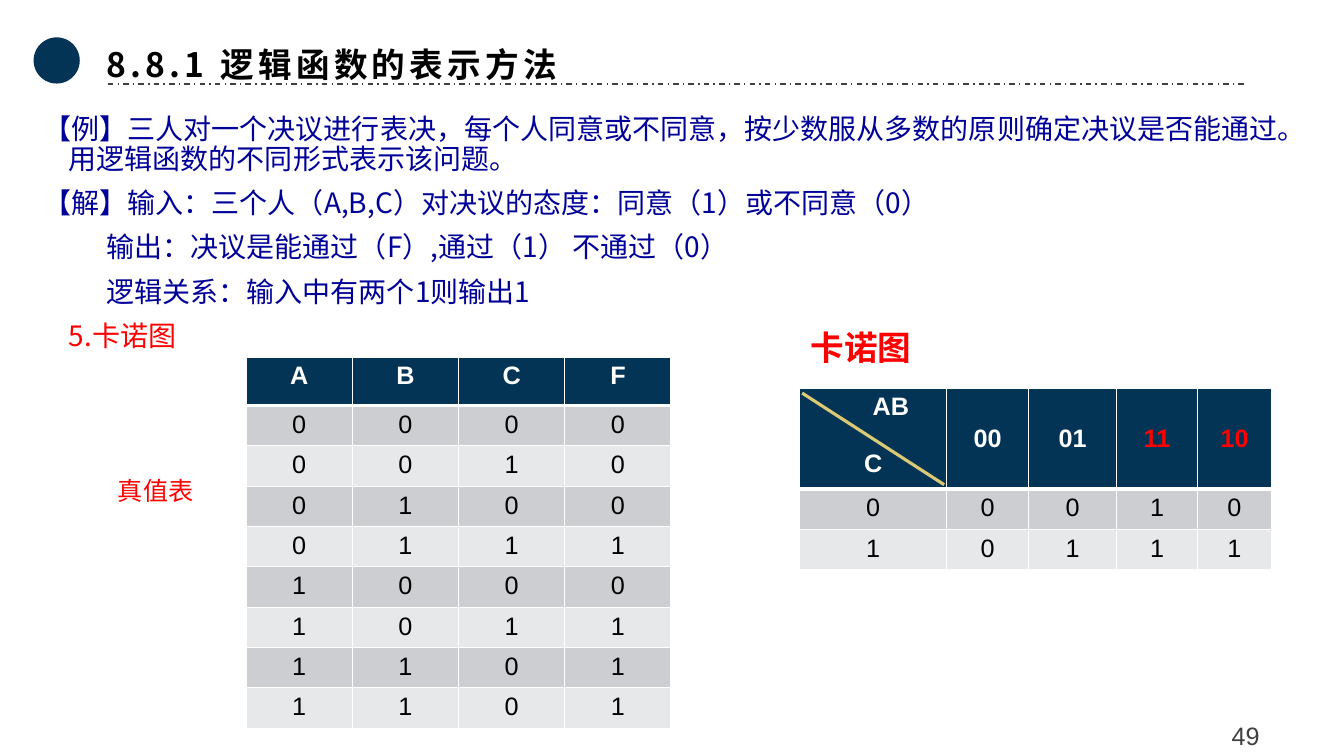
from dataclasses import dataclass

import lxml.etree
import pptx
import pptx.dml.color
import pptx.enum.dml
import pptx.enum.shapes
import pptx.enum.text
import pptx.oxml.ns
import pptx.util

RGBColor = pptx.dml.color.RGBColor
ALIGN = pptx.enum.text.PP_ALIGN
ANCHOR = pptx.enum.text.MSO_ANCHOR

NAVY = RGBColor(0x03, 0x34, 0x55)
GREY = RGBColor(0x40, 0x40, 0x40)
BLUE = RGBColor(0x00, 0x00, 0x99)
RED = RGBColor(0xFF, 0x00, 0x00)
GOLD = RGBColor(0xDC, 0xC9, 0x75)
BLACK = RGBColor(0x00, 0x00, 0x00)
WHITE = RGBColor(0xFF, 0xFF, 0xFF)
BANDS = (RGBColor(0xCC, 0xCE, 0xD1), RGBColor(0xE7, 0xE8, 0xE9))

LATIN = "Arial"
CHINESE = "Noto Sans CJK SC"

# The slide is a grid of square cells
COLUMNS, ROWS = 160, 90


def grid(cells: float) -> pptx.util.Length:
    return pptx.util.Pt(6 * cells)


@dataclass
class Area:
    left: float
    top: float
    width: float
    height: float

    def lengths(self) -> list:
        return [grid(n) for n in (self.left, self.top, self.width, self.height)]


@dataclass
class Style:
    size: float
    color: RGBColor
    font: str = CHINESE
    bold: bool = False


@dataclass
class Line:
    text: str
    left: float
    hanging: float = 0
    color: RGBColor = BLUE


@dataclass
class Label:
    text: str
    area: Area
    style: Style


@dataclass
class Grid:
    area: Area
    widths: list
    header_height: float
    row_height: float
    header: list
    rows: list
    red: tuple = ()


@dataclass
class Rule:
    start: tuple
    end: tuple
    color: RGBColor
    weight: float
    dash: bool = False


def add_span(para, text: str, style: Style):
    span = para.add_run()
    span.text = text
    span.font.size = pptx.util.Pt(style.size)
    span.font.bold = style.bold
    span.font.color.rgb = style.color
    span.font.name = style.font
    east_asian = lxml.etree.SubElement(span.font._element, pptx.oxml.ns.qn("a:ea"))
    east_asian.set("typeface", style.font)
    return span


def add_box(page, area: Area, wrap: bool = True):
    frame = page.shapes.add_textbox(*area.lengths()).text_frame
    frame.word_wrap = wrap
    return frame


def add_rule(page, rule: Rule) -> None:
    line = page.shapes.add_connector(
        pptx.enum.shapes.MSO_CONNECTOR.STRAIGHT,
        *[grid(n) for n in rule.start + rule.end])
    line.line.color.rgb = rule.color
    line.line.width = pptx.util.Pt(rule.weight)
    if rule.dash:
        line.line.dash_style = pptx.enum.dml.MSO_LINE.DASH_DOT
    lxml.etree.SubElement(line._element.spPr, pptx.oxml.ns.qn("a:effectLst"))


def add_border(cell, side: str, weight: float) -> None:
    edge = lxml.etree.SubElement(
        cell._tc.get_or_add_tcPr(), pptx.oxml.ns.qn(f"a:ln{side}"), w=str(pptx.util.Pt(weight)))
    fill = lxml.etree.SubElement(edge, pptx.oxml.ns.qn("a:solidFill"))
    lxml.etree.SubElement(fill, pptx.oxml.ns.qn("a:srgbClr"), val=str(WHITE))


def add_grid(page, item: Grid):
    table = page.shapes.add_table(
        len(item.rows) + 1, len(item.widths), *item.area.lengths()).table
    table.horz_banding = False
    for column, width in zip(table.columns, item.widths):
        column.width = grid(width)
    for r, values in enumerate([item.header, *item.rows]):
        table.rows[r].height = grid(item.row_height if r else item.header_height)
        for c, value in enumerate(values):
            cell = table.cell(r, c)
            for side in "LRTB":
                heavy = (r, side) in ((0, "B"), (1, "T"))
                add_border(cell, side, 3 if heavy else 1)
            cell.fill.solid()
            cell.fill.fore_color.rgb = BANDS[(r - 1) % 2] if r else NAVY
            head_color = RED if value in item.red else WHITE
            style = Style(18, BLACK if r else head_color, LATIN, r == 0)
            para = cell.text_frame.paragraphs[0]
            para.alignment = ALIGN.CENTER
            add_span(para, value, style)
    return table


TITLE = Label("8.8.1 逻辑函数的表示方法", Area(11.5, 3.6, 136.8, 7.1),
              Style(24, BLACK, bold=True))
NUMBER = Label("49", Area(137.75, 84.6, 21.1, 5.15), Style(18, GREY, LATIN))
BULLET = Area(4, 4.45, 5.5, 5.5)
BODY = Area(4, 13.1, 150.35, 29.4)
LINES = [
    Line("【例】三人对一个决议进行表决，每个人同意或不同意，按少数服从多数的原则确定决议是否能通过。"
         "用逻辑函数的不同形式表示该问题。", 3, -3),
    Line("【解】输入：三个人（A,B,C）对决议的态度：同意（1）或不同意（0）", 3, -3),
    Line("输出：决议是能通过（F）,通过（1） 不通过（0）", 7.5),
    Line("逻辑关系：输入中有两个1则输出1", 7.5),
    Line("5.卡诺图", 3, color=RED),
]
LABELS = [
    Label("真值表", Area(12.85, 56, 11.5, 4.8), Style(18, RED)),
    Label("卡诺图", Area(95.3, 38.3, 14.5, 6), Style(24, RED, bold=True)),
]
TRUTH = Grid(
    Area(29.3, 42.5, 50.6, 44.16), [12.65] * 4, 5.76, 4.8, list("ABCF"),
    [list(bits) for bits in
     "0000 0010 0100 0111 1000 1011 1101 1101".split()])
KARNAUGH = Grid(
    Area(95.2, 46.2, 56.2, 21.6), [17.5, 9.75, 10.5, 9.6, 8.85], 12, 4.8,
    ["AB", "00", "01", "11", "10"], [list("00010"), list("10111")], ("11", "10"))
TITLE_RULE = Rule((12.85, 10), (148.3, 10), GREY, 1, dash=True)
DIAGONAL = Rule((95.5, 46.8), (112.4, 57.7), GOLD, 2.25)


def main() -> None:
    deck = pptx.Presentation()
    deck.slide_width, deck.slide_height = grid(COLUMNS), grid(ROWS)
    page = deck.slides.add_slide(deck.slide_layouts[5])

    # Heading: title, disc and dashed rule
    title = page.shapes.title
    title.left, title.top, title.width, title.height = TITLE.area.lengths()
    title.text_frame.auto_size = pptx.enum.text.MSO_AUTO_SIZE.NONE
    title.text_frame.vertical_anchor = ANCHOR.MIDDLE
    para = title.text_frame.paragraphs[0]
    para.alignment = ALIGN.LEFT
    para.line_spacing = 1.2
    add_span(para, TITLE.text, TITLE.style).font._element.set("spc", "300")
    disc = page.shapes.add_shape(
        pptx.enum.shapes.MSO_SHAPE.OVAL, *BULLET.lengths())
    disc.shadow.inherit = False
    disc.fill.solid()
    disc.fill.fore_color.rgb = NAVY
    disc.line.fill.background()
    add_rule(page, TITLE_RULE)

    # Problem statement
    frame = add_box(page, BODY)
    for index, line in enumerate(LINES):
        para = frame.add_paragraph() if index else frame.paragraphs[0]
        para.line_spacing = 0.9
        if index:
            para.space_before = pptx.util.Pt(10)
        properties = para._p.get_or_add_pPr()
        properties.set("marL", str(grid(line.left)))
        properties.set("indent", str(grid(line.hanging)))
        add_span(para, line.text, Style(20, line.color))

    # Truth table and Karnaugh map
    add_grid(page, TRUTH)
    karnaugh = add_grid(page, KARNAUGH)
    for column in range(1, len(KARNAUGH.widths)):
        karnaugh.cell(0, column).vertical_anchor = ANCHOR.MIDDLE
    corner = karnaugh.cell(0, 0).text_frame
    corner.paragraphs[0]._p.get_or_add_pPr().set("marL", str(grid(4.2)))
    para = corner.add_paragraph()
    para.alignment = ALIGN.CENTER
    para.space_before = pptx.util.Pt(20)
    add_span(para, "C", Style(18, WHITE, LATIN, True))
    add_rule(page, DIAGONAL)

    # Table labels and page number
    for label in LABELS:
        frame = add_box(page, label.area, wrap=False)
        add_span(frame.paragraphs[0], label.text, label.style)
    frame = add_box(page, NUMBER.area)
    frame.vertical_anchor = ANCHOR.MIDDLE
    para = frame.paragraphs[0]
    para.alignment = ALIGN.CENTER
    para.line_spacing = 1.2
    add_span(para, NUMBER.text, NUMBER.style)

    deck.save("out.pptx")


if __name__ == "__main__":
    main()
